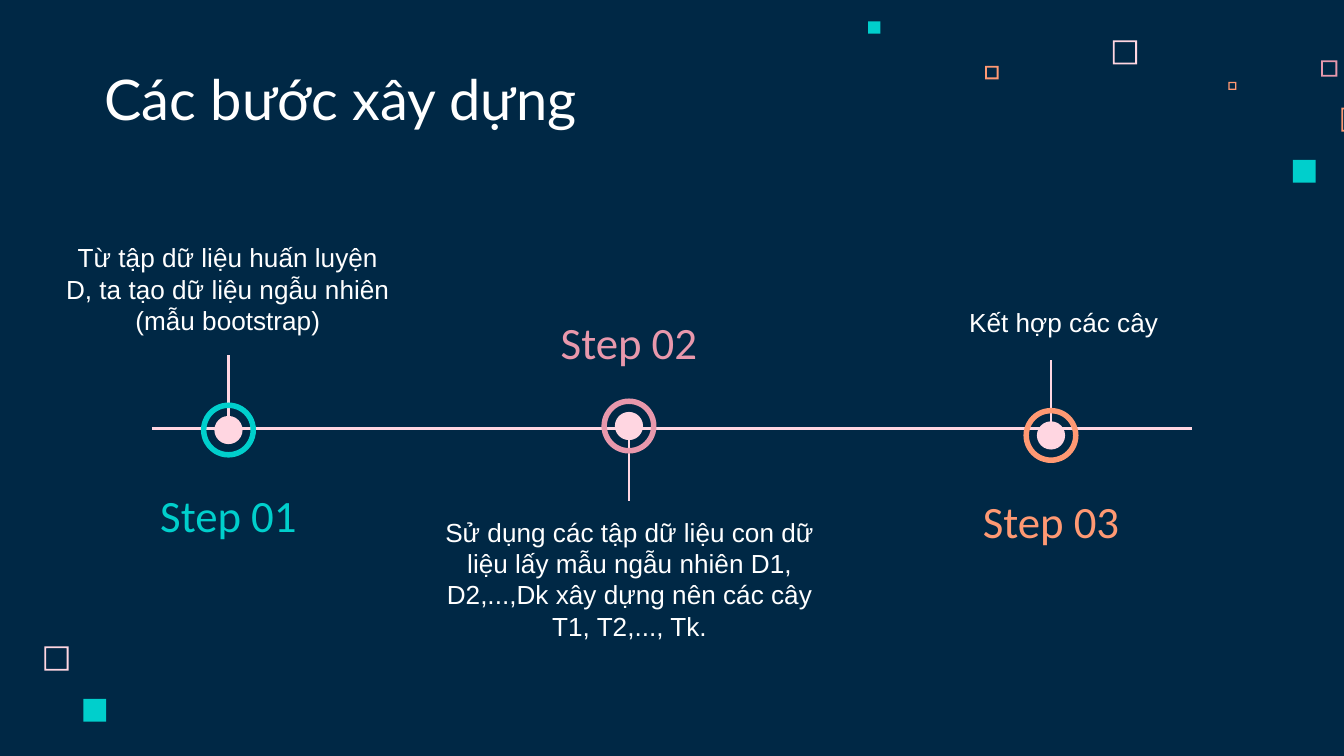
from pptx import Presentation
from pptx.dml.color import RGBColor
from pptx.enum.shapes import MSO_CONNECTOR, MSO_SHAPE
from pptx.enum.text import MSO_ANCHOR, PP_ALIGN
from pptx.oxml.ns import qn
from pptx.util import Inches, Pt
from lxml import etree

COLORS = {
    "navy": "002845",
    "white": "FFFFFF",
    "blush": "FFD6E1",
    "rose": "E898AC",
    "orange": "FF9973",
    "teal": "00CFCC",
}

# left, top, size, colour, hollow
SQUARES = [
    (8.28, 0.3, 0.18, "blush", True),
    (9.83, 0.45, 0.12, "rose", True),
    (9.14, 0.61, 0.06, "orange", True),
    (9.98, 0.8, 0.18, "orange", True),
    (9.62, 1.19, 0.17, "teal", False),
    (7.33, 0.49, 0.1, "orange", True),
    (6.46, 0.16, 0.09, "teal", False),
    (0.33, 4.81, 0.18, "blush", True),
    (0.62, 5.2, 0.17, "teal", False),
]

# ring centre from the start of the axis, colour, label, details,
# details box from the ring centre, side of the details
STEPS = [
    (0.57, 0.01, "teal", "Step 01",
     "Từ tập dữ liệu huấn luyện D, ta tạo dữ liệu ngẫu nhiên (mẫu bootstrap)",
     (-1.33, -1.62, 2.65, 1.02), -1),
    (3.55, -0.02, "rose", "Step 02",
     "Sử dụng các tập dữ liệu con dữ liệu lấy mẫu ngẫu nhiên D1, D2,...,Dk "
     "xây dựng nên các cây T1, T2,..., Tk.",
     (-1.52, 0.57, 3.05, 1.06), 1),
    (6.69, 0.05, "orange", "Step 03", "Kết hợp các cây",
     (-1.06, -1.34, 2.31, 0.71), -1),
]


def color(name):
    return RGBColor.from_string(COLORS[name])


def add_shape(parent, kind, box, fill):
    shape = parent.shapes.add_shape(kind, *map(Inches, box))
    shape.shadow.inherit = False
    shape.fill.solid()
    shape.fill.fore_color.rgb = color(fill)
    shape.line.fill.background()
    return shape


def add_disc(parent, kind, x, y, size, fill):
    box = (x - size / 2, y - size / 2, size, size)
    return add_shape(parent, kind, box, fill)


def add_line(slide, x1, y1, x2, y2):
    line = slide.shapes.add_connector(
        MSO_CONNECTOR.STRAIGHT, *map(Inches, (x1, y1, x2, y2)))
    line.line.color.rgb = color("blush")
    line.line.width = Pt(1.5)
    etree.SubElement(line._element.spPr, qn("a:effectLst"))


def add_text(slide, box, text, font, size, ink, anchor,
             align=PP_ALIGN.CENTER):
    frame = slide.shapes.add_textbox(*map(Inches, box)).text_frame
    frame.word_wrap = True
    frame.vertical_anchor = anchor
    frame.margin_left = frame.margin_right = Inches(0.1)
    frame.margin_top = frame.margin_bottom = Inches(0.1)
    frame.text = text
    para = frame.paragraphs[0]
    para.alignment = align
    run = para.runs[0]
    run.font.name = font
    run.font.size = Pt(size)
    run.font.color.rgb = color(ink)


def add_squares(slide):
    for left, top, size, fill, hollow in SQUARES:
        kind = MSO_SHAPE.FRAME if hollow else MSO_SHAPE.RECTANGLE
        square = add_shape(slide, kind, (left, top, size, size), fill)
        if hollow:
            square.adjustments[0] = min(0.013 / size, 0.16)


def add_step(slide, x, y, ink, label, details, area, side):
    # Stem towards the details
    add_line(slide, x, y + side * 0.06, x, y + side * 0.56)

    # Dot inside its ring
    marker = slide.shapes.add_group_shape()
    add_disc(marker, MSO_SHAPE.OVAL, x, y, 0.21, "blush")
    ring = add_disc(marker, MSO_SHAPE.DONUT, x, y, 0.41, ink)
    ring.adjustments[0] = 0.1

    # Details on one side, label on the other
    left, top, width, height = area
    anchor = MSO_ANCHOR.BOTTOM if side < 0 else MSO_ANCHOR.TOP
    add_text(slide, (x + left, y + top, width, height), details,
             "Arial", 14, "white", anchor)
    wide, high = 1.41, 0.47
    spot = (x - wide / 2, y - side * 0.63 - high / 2, wide, high)
    add_text(slide, spot, label, "Calibri", 24, ink, MSO_ANCHOR.MIDDLE)


def add_timeline(slide, left, top, width):
    add_line(slide, left, top, left + width, top)
    for across, down, *parts in STEPS:
        add_step(slide, left + across, top + down, *parts)


def main():
    deck = Presentation()
    deck.slide_width, deck.slide_height = Inches(10), Inches(5.625)
    slide = deck.slides.add_slide(deck.slide_layouts[6])
    slide.background.fill.solid()
    slide.background.fill.fore_color.rgb = color("navy")

    add_squares(slide)
    add_text(slide, (0.68, 0.45, 5.17, 0.63), "Các bước xây dựng", "Lato", 30,
             "white", MSO_ANCHOR.BOTTOM, PP_ALIGN.LEFT)
    add_timeline(slide, 1.13, 3.19, 7.74)
    deck.save("out.pptx")


if __name__ == "__main__":
    main()
